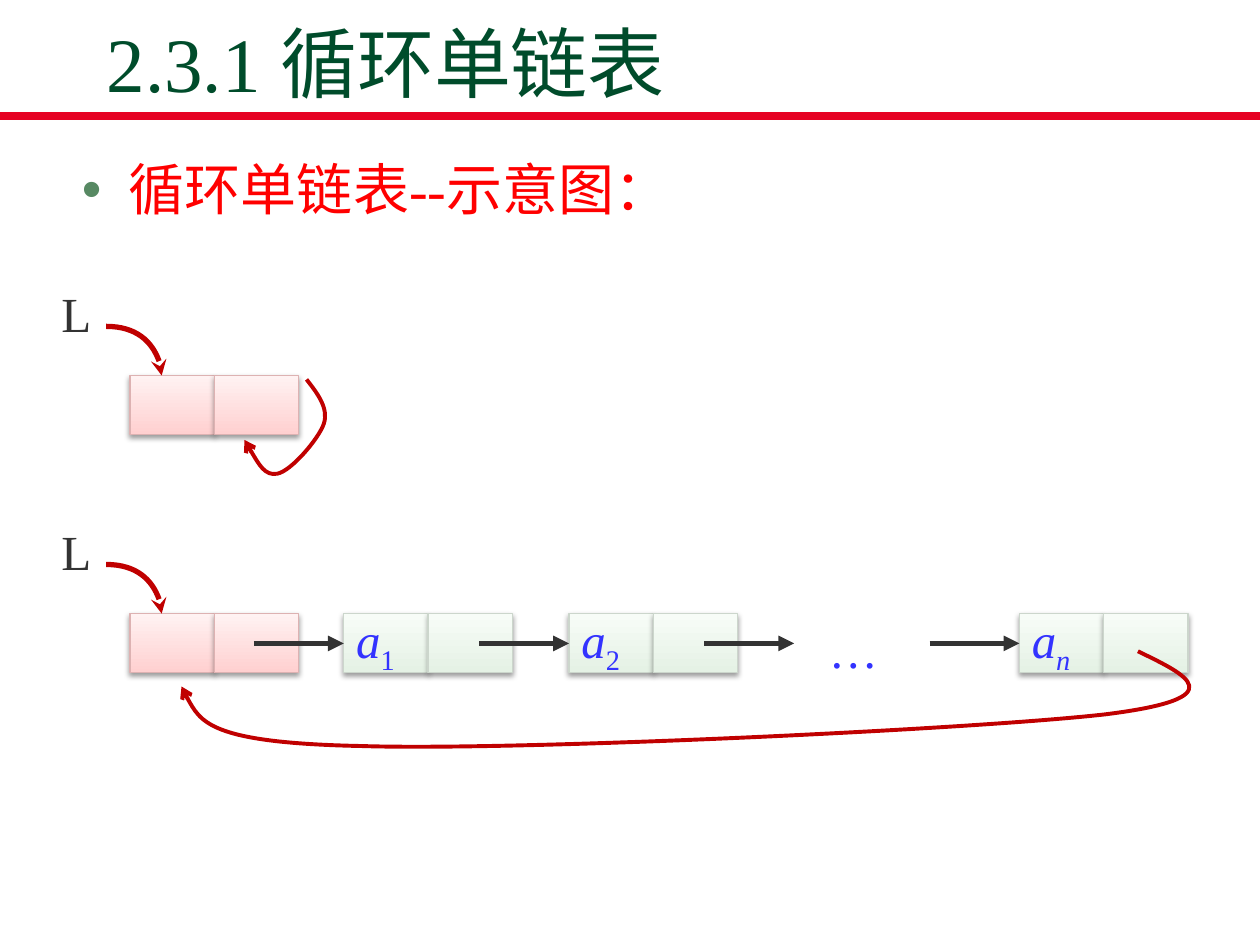
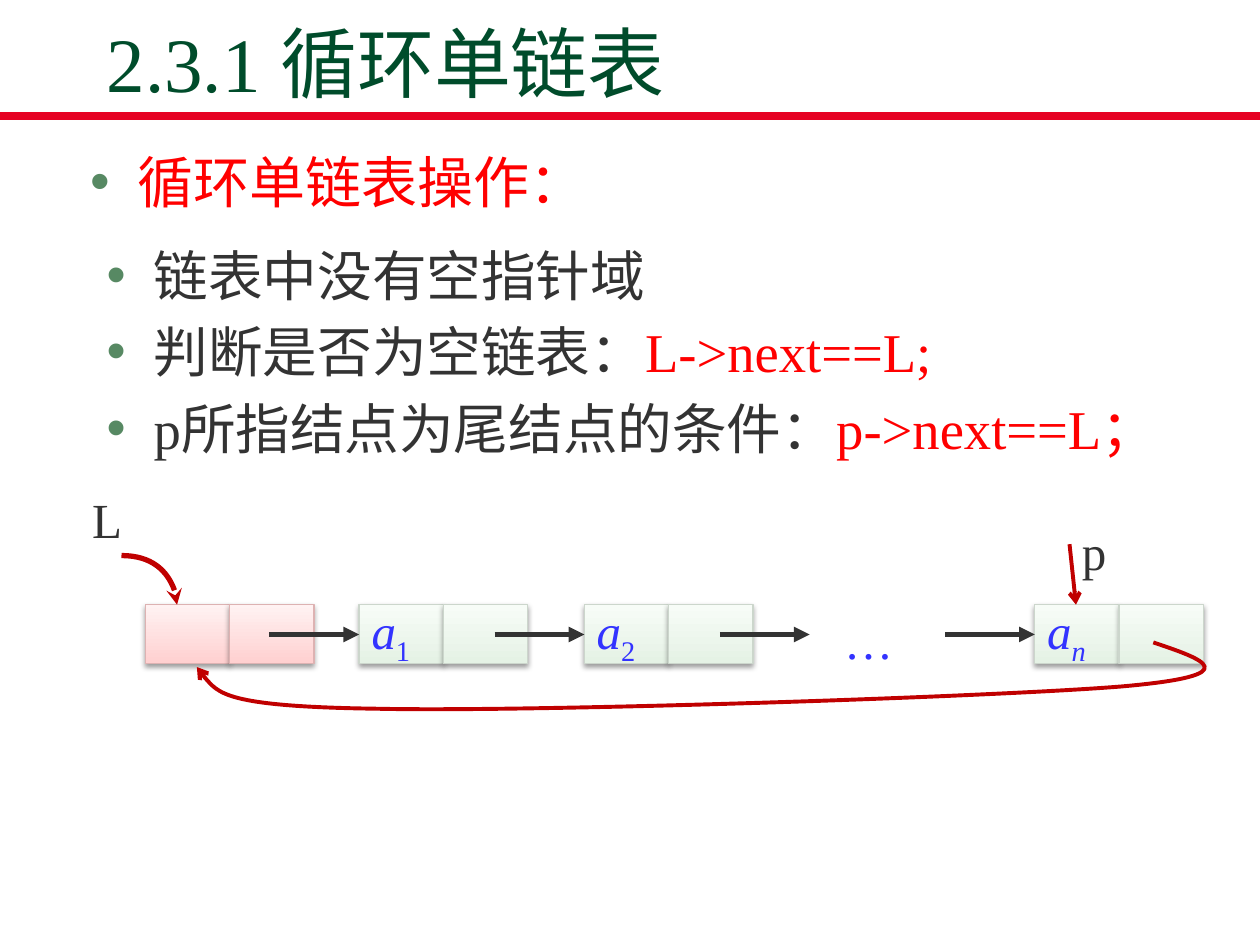
from dataclasses import dataclass

from lxml.etree import SubElement
from pptx import Presentation
from pptx.dml.color import RGBColor
from pptx.enum.shapes import MSO_CONNECTOR, MSO_SHAPE
from pptx.enum.text import MSO_ANCHOR, PP_ALIGN
from pptx.oxml.ns import qn
from pptx.util import Cm, Pt

COLORS = {
    "rule": "E60223", "title": "004C2B", "key": "FF0000", "body": "333333",
    "bullet": "578963", "symbol": "3333FF", "pointer": "C00000",
    "head_low": "FFD0D0", "head_high": "FFF2F2", "head_edge": "DDB2B2",
    "node_low": "E5F2E5", "node_high": "F7FCF7", "node_edge": "CCD6CC",
}
FONT = "Times New Roman"
TITLE = "2.3.1 循环单链表"
CELL_WIDTH, CELL_HEIGHT = 1.7, 1.19
FIRST_NODE, NODE_PITCH = 4.31, 4.54
LINK_START, LINK_LENGTH, LINK_DROP = 2.5, 1.81, 0.6
POINTER_CURVE = [(-0.48, -0.99), (0.13, -0.99), (0.64, -0.53), (0.64, 0)]
SELF_LOOP = [
    (3.56, 0.08), (3.78, 0.36), (4.01, 0.66), (3.91, 0.97), (3.81, 1.27),
    (3.25, 1.93), (2.97, 1.98), (2.72, 2.03), (2.51, 1.65), (2.31, 1.3),
]
RETURN_START = (20.32, 0.76)
RETURN_CURVE = [
    (0, 0), (0.99, 0.48), (1.98, 0.94), (-0.64, 1.27), (-3.25, 1.57),
    (-12.52, 2.01), (-15.65, 1.91), (-18.75, 1.85), (-19.02, 1.27), (-19.28, 0.71),
]


@dataclass(frozen=True)
class Span:
    text: str
    color: str = "body"
    italic: bool = False
    subscript: bool = False


@dataclass(frozen=True)
class Node:
    step: int
    index: str
    italic_index: bool = False


@dataclass(frozen=True)
class Place:
    left: float
    top: float
    label_left: float = -1.63
    label_top: float = -1.98
    return_depth: float = 1.0


NODES = [Node(0, "1"), Node(1, "2"), Node(3, "n", True)]


def rgb(name: str) -> RGBColor:
    return RGBColor.from_string(COLORS[name])


def write_span(para, text: str, *, size: float, color: str,
               italic: bool = False, subscript: bool = False) -> None:
    span = para.add_run()
    span.text = text
    span.font.name = FONT
    span.font.size = Pt(size)
    span.font.italic = italic
    span.font.color.rgb = rgb(color)
    if subscript:
        span._r.get_or_add_rPr().set("baseline", "-25000")


def add_bullet(para) -> None:
    properties = para._p.get_or_add_pPr()
    properties.set("marL", str(Cm(0.95)))
    properties.set("indent", str(-Cm(0.95)))
    color = SubElement(properties, qn("a:buClr"))
    SubElement(color, qn("a:srgbClr"), val=COLORS["bullet"])
    SubElement(properties, qn("a:buFont"), typeface="Arial")
    SubElement(properties, qn("a:buChar"), char="•")


def add_text(page, left: float, top: float, width: float, height: float,
             lines: list[list[Span]], size: float = 28, bulleted: bool = False,
             anchor=MSO_ANCHOR.TOP) -> None:
    box = page.shapes.add_textbox(Cm(left), Cm(top), Cm(width), Cm(height))
    fill_text(box.text_frame, lines, size, bulleted, anchor)


def fill_text(frame, lines: list[list[Span]], size: float,
              bulleted: bool = False, anchor=MSO_ANCHOR.TOP) -> None:
    frame.word_wrap = True
    frame.vertical_anchor = anchor
    for number, spans in enumerate(lines):
        para = frame.add_paragraph() if number else frame.paragraphs[0]
        para.alignment = PP_ALIGN.LEFT
        if number:
            para.space_before = Pt(round(size * 0.2, 1))
        if bulleted:
            add_bullet(para)
        for span in spans:
            write_span(para, span.text, size=size, color=span.color,
                       italic=span.italic, subscript=span.subscript)


def style_line(shape, color: str, width: float, arrow: str = "") -> None:
    shape.line.color.rgb = rgb(color)
    shape.line.width = Pt(width)
    properties = shape._element.spPr
    if arrow:
        SubElement(properties.find(qn("a:ln")), qn("a:tailEnd"), type=arrow)
    if properties.find(qn("a:effectLst")) is None:
        SubElement(properties, qn("a:effectLst"))


def add_line(page, start: tuple[float, float], end: tuple[float, float],
             color: str, width: float, arrow: str = "") -> None:
    line = page.shapes.add_connector(
        MSO_CONNECTOR.STRAIGHT, Cm(start[0]), Cm(start[1]), Cm(end[0]), Cm(end[1]))
    style_line(line, color, width, arrow)


def add_curve(page, left: float, top: float, points: list[tuple[float, float]],
              width: float, arrow: str) -> None:
    corners = [(Cm(left + x), Cm(top + y)) for x, y in points]
    builder = page.shapes.build_freeform(*corners[0])
    builder.add_line_segments(corners[1:], close=False)
    curve = builder.convert_to_shape()
    segments = list(curve._element.iter(qn("a:lnTo")))
    for first in range(0, len(segments), 3):
        outline = segments[first].getparent()
        bezier = SubElement(outline, qn("a:cubicBezTo"))
        for segment in segments[first:first + 3]:
            bezier.append(segment[0])
            outline.remove(segment)
    curve.fill.background()
    curve.shadow.inherit = False
    style_line(curve, "pointer", width, arrow)


def add_cell(page, left: float, top: float, kind: str) -> object:
    cell = page.shapes.add_shape(
        MSO_SHAPE.RECTANGLE, Cm(left), Cm(top), Cm(CELL_WIDTH), Cm(CELL_HEIGHT))
    cell.fill.gradient()
    cell.fill.gradient_angle = 90
    for stop, shade in zip(cell.fill.gradient_stops, ("low", "high")):
        stop.color.rgb = rgb(f"{kind}_{shade}")
    cell.shadow.inherit = False
    style_line(cell, f"{kind}_edge", 0.75)
    effects = cell._element.spPr.find(qn("a:effectLst"))
    shadow = SubElement(effects, qn("a:outerShdw"), blurRad=str(Pt(3.1)),
                        dist=str(Pt(1.6)), dir="5400000", rotWithShape="0")
    color = SubElement(shadow, qn("a:srgbClr"), val="000000")
    SubElement(color, qn("a:alpha"), val="38000")
    return cell


def add_node(page, left: float, top: float, kind: str) -> object:
    data_cell = add_cell(page, left, top, kind)
    add_cell(page, left + CELL_WIDTH, top, kind)
    return data_cell


def add_head(page, place: Place) -> None:
    add_node(page, place.left, place.top, "head")
    add_curve(page, place.left, place.top, POINTER_CURVE, 3, "stealth")
    add_text(page, place.left + place.label_left, place.top + place.label_top,
             1.37, 1.45, [[Span("L")]])


def add_empty_list(page, place: Place) -> None:
    add_head(page, place)
    add_curve(page, place.left, place.top, SELF_LOOP, 2.25, "arrow")


def add_circular_list(page, place: Place) -> None:
    add_head(page, place)
    for node in NODES:
        left = place.left + FIRST_NODE + node.step * NODE_PITCH
        cell = add_node(page, left, place.top, "node")
        symbol = [Span("a", "symbol", italic=True),
                  Span(node.index, "symbol", node.italic_index, subscript=True)]
        fill_text(cell.text_frame, [symbol], 28, anchor=MSO_ANCHOR.MIDDLE)
    add_text(page, place.left + 13.84, place.top, 1.8, 1.45, [[Span("…", "symbol")]])
    link_top = place.top + LINK_DROP
    for step in range(4):
        start = place.left + LINK_START + step * NODE_PITCH
        add_line(page, (start, link_top), (start + LINK_LENGTH, link_top),
                 "body", 3, "triangle")
    curve = [(x, y * place.return_depth) for x, y in RETURN_CURVE]
    add_curve(page, place.left + RETURN_START[0], place.top + RETURN_START[1],
              curve, 2.25, "arrow")


def add_page(deck) -> object:
    page = deck.slides.add_slide(deck.slide_layouts[6])
    add_line(page, (0, 2.34), (25.4, 2.34), "rule", 4.5)
    add_text(page, 1.9, 0.66, 21.59, 1.65, [[Span(TITLE, "title")]], 44,
             anchor=MSO_ANCHOR.BOTTOM)
    return page


def build_diagram_page(deck) -> None:
    page = add_page(deck)
    add_text(page, 1.4, 3, 22.1, 1.88, [[Span("循环单链表--示意图：", "key")]], 32, True)
    add_circular_list(page, Place(2.62, 12.37))
    add_empty_list(page, Place(2.62, 7.57))


def build_operations_page(deck) -> None:
    page = add_page(deck)
    facts = [
        [Span("链表中没有空指针域")],
        [Span("判断是否为空链表："), Span("L->next==L;", "key")],
        [Span("p所指结点为尾结点的条件："), Span("p->next==L；", "key")],
    ]
    add_text(page, 1.9, 4.75, 22.17, 4.62, facts, 31.2, True)
    add_text(page, 1.57, 2.84, 22.76, 1.63, [[Span("循环单链表操作：", "key")]], 32, True)
    add_circular_list(page, Place(2.93, 12.19, -1.32, -2.44, 0.7))
    add_line(page, (21.56, 10.97), (21.69, 12.19), "pointer", 2.25, "arrow")
    add_text(page, 21.56, 10.39, 1.12, 1.45, [[Span("p")]])


def main() -> None:
    deck = Presentation()
    deck.slide_width, deck.slide_height = Cm(25.4), Cm(19.05)
    build_diagram_page(deck)
    build_operations_page(deck)
    deck.save("out.pptx")


if __name__ == "__main__":
    main()
